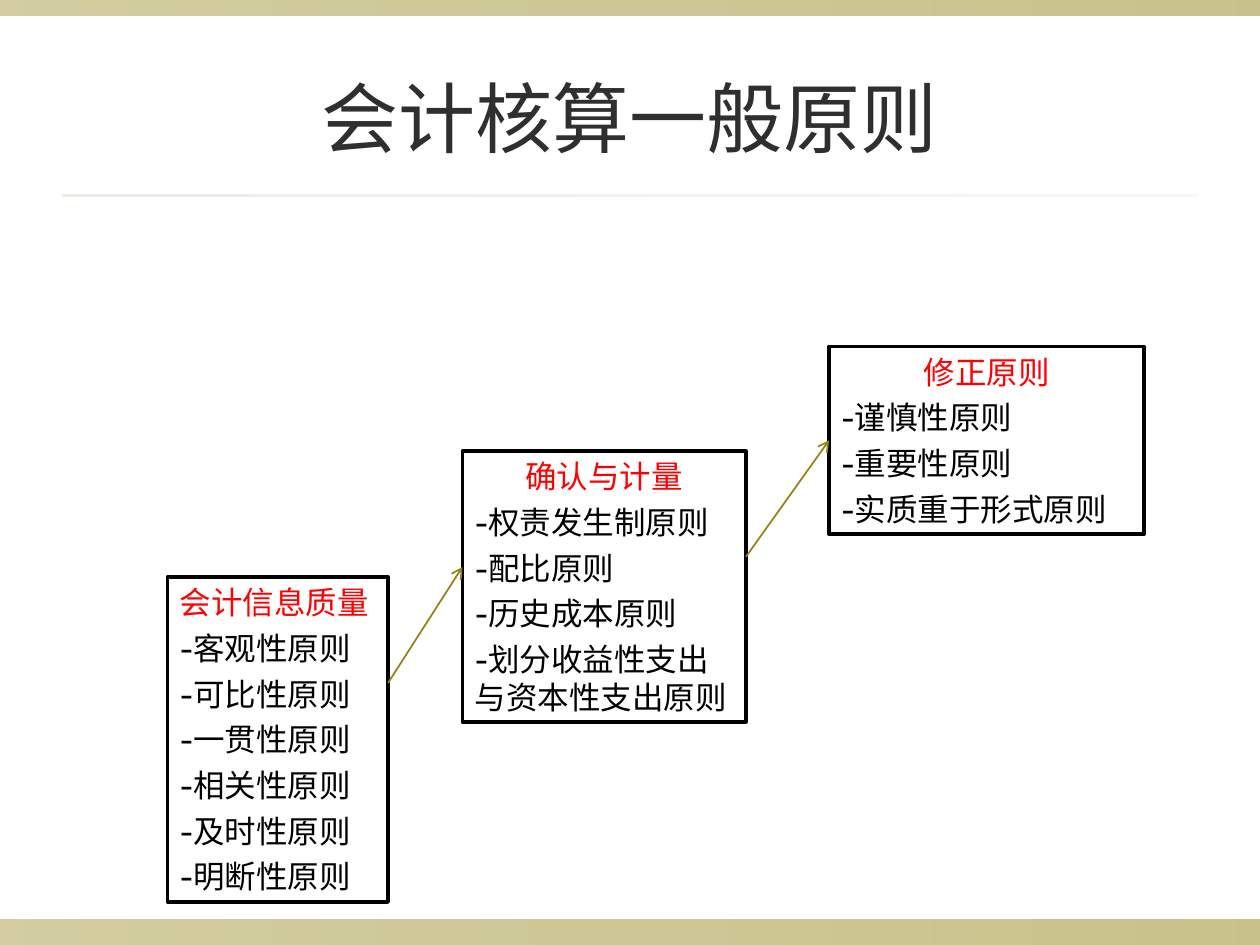
from dataclasses import dataclass

from lxml import etree
from pptx import Presentation
from pptx.dml.color import RGBColor
from pptx.enum import shapes, text
from pptx.oxml import ns
from pptx.util import Inches, Pt

FONT = "Cabin"
COLORS = {
    "olive": "918415",
    "rule": "DCD9CC",
    "title": "2F2F2F",
    "heading": "FF0000",
    "body": "000000",
    "border": "000000",
    "paper": "FFFFFF",
}
LEFT, CENTER = text.PP_ALIGN.LEFT, text.PP_ALIGN.CENTER


@dataclass
class Band:
    left: float
    top: float
    width: float
    height: float
    color: str
    start_alpha: int
    end_alpha: int


@dataclass
class Group:
    left: float
    top: float
    width: float
    height: float
    heading: str
    principles: list[str]
    heading_align: text.PP_ALIGN = CENTER


BANDS = [
    Band(0, 7.3, 10, 0.2, "olive", 40, 50),
    Band(0, 0, 10, 0.12, "olive", 40, 50),
    Band(0.5, 1.54, 9, 0.02, "rule", 50, 20),
]
QUALITY = Group(1.33, 4.58, 1.75, 2.58, "会计信息质量",
                ["客观性原则", "可比性原则", "一贯性原则",
                 "相关性原则", "及时性原则", "明断性原则"], LEFT)
MEASUREMENT = Group(3.67, 3.58, 2.25, 2.15, "确认与计量",
                    ["权责发生制原则", "配比原则", "历史成本原则",
                     "划分收益性支出与资本性支出原则"])
CORRECTION = Group(6.58, 2.75, 2.5, 1.49, "修正原则",
                   ["谨慎性原则", "重要性原则", "实质重于形式原则"])


def rgb(name: str) -> RGBColor:
    return RGBColor.from_string(COLORS[name])


def add_rectangle(page, item: Band | Group):
    shape = page.shapes.add_shape(
        shapes.MSO_SHAPE.RECTANGLE, Inches(item.left), Inches(item.top),
        Inches(item.width), Inches(item.height))
    shape.shadow.inherit = False
    return shape


def add_band(page, band: Band) -> None:
    shape = add_rectangle(page, band)
    shape.line.fill.background()
    shape.fill.gradient()
    shape.fill.gradient_angle = 0
    for stop, alpha in zip(shape.fill.gradient_stops,
                           (band.start_alpha, band.end_alpha)):
        stop.color.rgb = rgb(band.color)
    for color, alpha in zip(shape.fill._xPr.iter(ns.qn("a:srgbClr")),
                            (band.start_alpha, band.end_alpha)):
        etree.SubElement(color, ns.qn("a:alpha"), val=str(alpha * 1000))


def add_span(para, words: str, size: float, color: str) -> None:
    span = para.add_run()
    span.text = words
    span.font.name = FONT
    span.font.size = Pt(size)
    span.font.color.rgb = rgb(color)


def add_title(page, words: str) -> None:
    box = page.shapes.add_textbox(Inches(0.5), Inches(0.3), Inches(9), Inches(1.25))
    frame = box.text_frame
    frame.word_wrap = True
    frame.vertical_anchor = text.MSO_ANCHOR.MIDDLE
    para = frame.paragraphs[0]
    para.alignment = CENTER
    add_span(para, words, 44, "title")


def add_group(page, group: Group):
    box = add_rectangle(page, group)
    box.fill.solid()
    box.fill.fore_color.rgb = rgb("paper")
    box.line.color.rgb = rgb("border")
    box.line.width = Pt(2)
    frame = box.text_frame
    frame.word_wrap = True
    frame.vertical_anchor = text.MSO_ANCHOR.TOP
    para = frame.paragraphs[0]
    para.alignment = group.heading_align
    add_span(para, group.heading, 18, "heading")
    for principle in group.principles:
        para = frame.add_paragraph()
        para.alignment = LEFT
        para.space_before = Pt(4.5)
        add_span(para, f"-{principle}", 18, "body")
    return box


def add_arrow(page, start: tuple[float, float], end: tuple[float, float]):
    arrow = page.shapes.add_connector(
        shapes.MSO_CONNECTOR.STRAIGHT, *map(Inches, start + end))
    arrow.line.color.rgb = rgb("olive")
    arrow.line.width = Pt(1)
    etree.SubElement(arrow.line._get_or_add_ln(), ns.qn("a:tailEnd"), type="arrow")
    etree.SubElement(arrow._element.spPr, ns.qn("a:effectLst"))
    return arrow


def main() -> None:
    deck = Presentation()
    deck.slide_width, deck.slide_height = Inches(10), Inches(7.5)
    page = deck.slides.add_slide(deck.slide_layouts[6])

    # Decorative bands and title
    for band in BANDS:
        add_band(page, band)
    add_title(page, "会计核算一般原则")

    # Three groups of principles, rising to the right
    add_group(page, MEASUREMENT)
    add_group(page, QUALITY)
    correction_box = add_group(page, CORRECTION)

    # Arrows from one group to the next
    add_arrow(page, (QUALITY.left + QUALITY.width, 5.42), (MEASUREMENT.left, 4.5))
    arrow = add_arrow(page, (MEASUREMENT.left + MEASUREMENT.width, 4.42),
                      (CORRECTION.left, 3.5))
    arrow.end_connect(correction_box, 1)

    deck.save("out.pptx")


if __name__ == "__main__":
    main()
